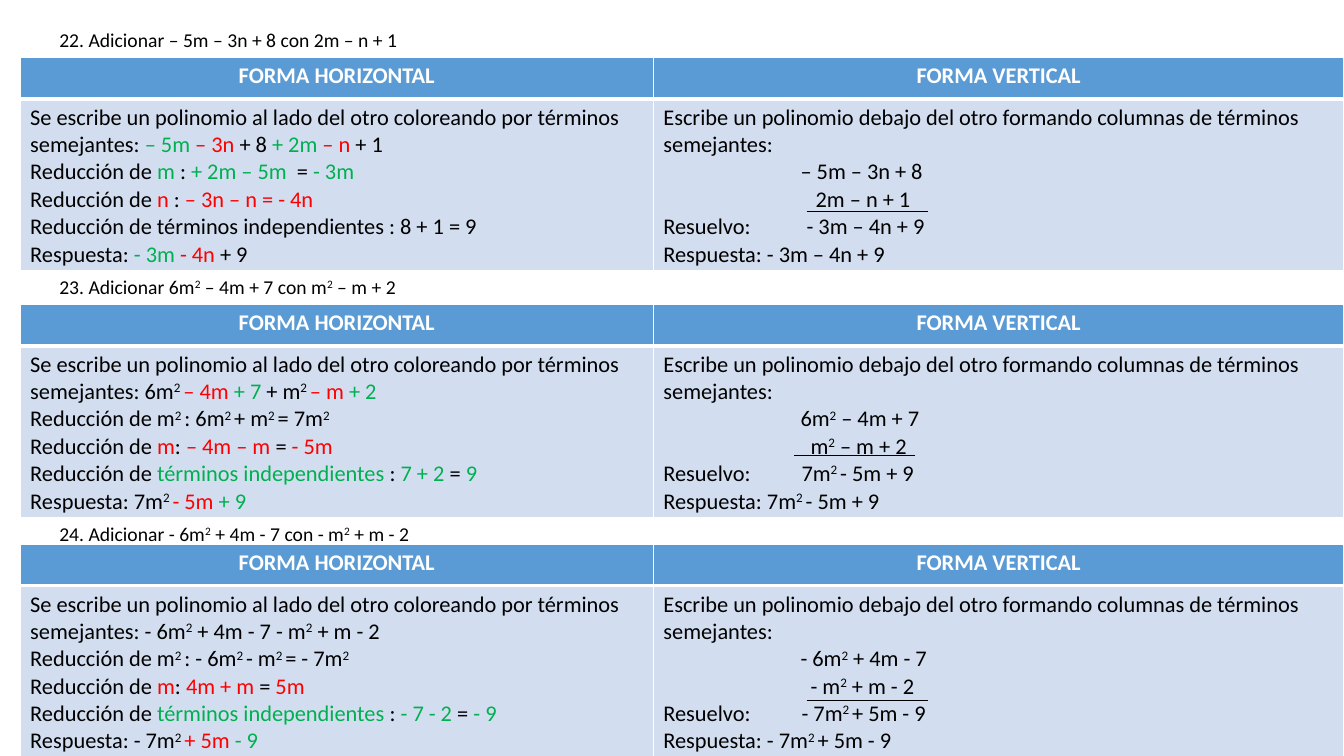
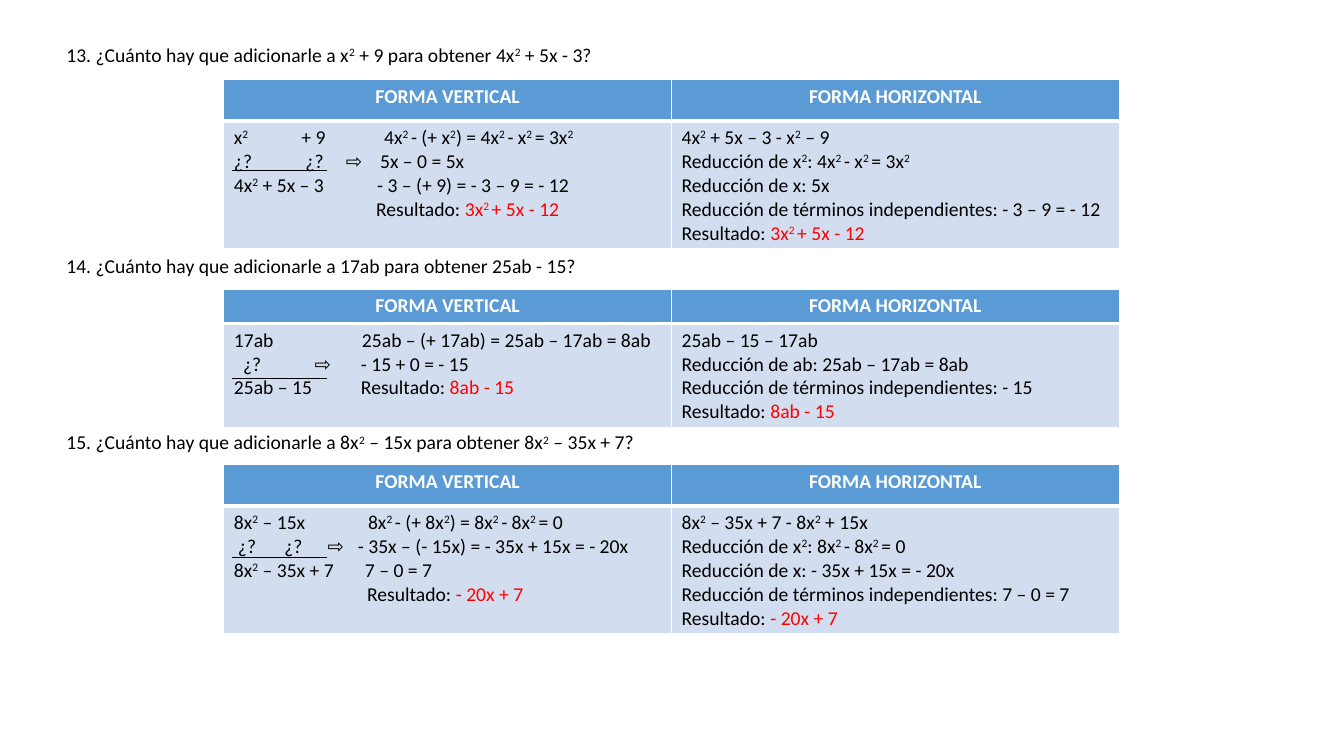
from typing import NamedTuple

from lxml.etree import SubElement
from pptx import Presentation
from pptx.dml.color import RGBColor
from pptx.enum.shapes import MSO_CONNECTOR
from pptx.enum.text import PP_ALIGN
from pptx.oxml.ns import qn
from pptx.util import Inches, Pt

FONT = "Calibri"
COLORS = {
    "black": "000000",
    "green": "00B050",
    "red": "FF0000",
    "white": "FFFFFF",
    "header": "5B9BD5",
    "body": "D2DEEF",
}
MARKS = {"k": "black", "g": "green", "r": "red"}
QUESTION_SIZE = 14
HORIZONTAL, VERTICAL = "FORMA HORIZONTAL", "FORMA VERTICAL"
SIDE_BY_SIDE = ("Se escribe un polinomio al lado del otro coloreando "
                "por términos semejantes: ")
STACKED = ("Escribe un polinomio debajo del otro formando columnas "
           "de términos semejantes:")


class Style(NamedTuple):
    question_left: float
    table_left: float
    column_widths: tuple
    titles: tuple
    size: int
    rule_offset: float
    rule_length: float


class Exercise(NamedTuple):
    question: str
    question_top: float
    table_top: float
    row_heights: tuple
    columns: tuple
    rule_drop: float
    rule_shift: float = 0


ADDITION_STYLE = Style(0.49, 0.2, (6.28, 6.85), (HORIZONTAL, VERTICAL),
                       16, 7.8, 1.2)
MISSING_STYLE = Style(0.56, 2.22, (4.44, 4.44), (VERTICAL, HORIZONTAL),
                      14, 0.08, 0.94)
ADDITION_ROWS = (0.41, 1.7)
MISSING_ROWS = (0.41, 1.26)


# A line is a string, or a tuple of a string and its tab stops in inches.
ADDITIONS = [
    Exercise(
        "22. Adicionar – 5m – 3n + 8 con 2m – n + 1", 0.23, 0.57, ADDITION_ROWS,
        ([SIDE_BY_SIDE + "|g– 5m |r– 3n |k+ 8 |g+ 2m |r– n |k+ 1",
          "Reducción de |gm |k: |g+ 2m – 5m |k = |g- 3m",
          "Reducción de |rn |k: |r– 3n – n = - 4n",
          "Reducción de términos independientes : 8 + 1 = 9",
          "Respuesta: |g- 3m |r- 4n |k+ 9"],
         [STACKED,
          ("\t– 5m – 3n + 8", 1.36),
          ("\t2m – n + 1", 1.51),
          ("Resuelvo:\t- 3m – 4n + 9", 1.42),
          "Respuesta: - 3m – 4n + 9"]),
        1.53),
    Exercise(
        "23. Adicionar 6m² – 4m + 7 con m² – m + 2", 2.68, 3.02, ADDITION_ROWS,
        ([SIDE_BY_SIDE + "6m²_|r– 4m |g+ 7|k + m²_|r– m |g+ 2",
          "Reducción de m²_: 6m²_+ m²_= 7m²",
          "Reducción de |rm|k: |r– 4m – m |k=|r - 5m",
          "Reducción de |gtérminos independientes |k: |g7 + 2 |k= |g9",
          "Respuesta: 7m²_|r- 5m |g+ 9"],
         [STACKED,
          ("\t6m² – 4m + 7", 1.36),
          ("\tm² – m + 2", 1.46),
          ("Resuelvo:\t7m²_- 5m + 9", 1.37),
          "Respuesta: 7m²_- 5m + 9"]),
        1.5, -0.12),
    Exercise(
        "24. Adicionar - 6m² + 4m - 7 con - m² + m - 2", 5.13, 5.4, ADDITION_ROWS,
        ([SIDE_BY_SIDE + "- 6m² + 4m - 7 - m² + m - 2",
          "Reducción de m²_: - 6m²_- m²_= - 7m²",
          "Reducción de |rm|k: |r4m + m |k=|r 5m",
          "Reducción de |gtérminos independientes |k: |g- 7 - 2 |k= |g- 9",
          "Respuesta: - 7m²_|r+ 5m |g- 9"],
         [STACKED,
          ("\t- 6m² + 4m - 7", 1.36),
          ("\t- m² + m - 2", 1.46),
          ("Resuelvo:\t- 7m²_+ 5m - 9", 1.37),
          "Respuesta: - 7m²_+ 5m - 9"]),
        1.55),
]

MISSING_ADDENDS = [
    Exercise(
        "13. ¿Cuánto hay que adicionarle a x² + 9 para obtener 4x² + 5x - 3?",
        0.38, 0.79, MISSING_ROWS,
        ([("x²\t+ 9\t4x²_- (+ x²) = 4x²_- x²_= 3x²", 0.67, 1.49),
          ("¿?\t¿?\t⇨\t5x – 0 = 5x", 0.71, 1.11, 1.45),
          ("4x² + 5x – 3\t- 3 – (+ 9) = - 3 – 9 = - 12", 1.42),
          ("\tResultado: |r3x²_+ 5x - 12", 1.41)],
         ["4x² + 5x – 3 - x² – 9",
          "Reducción de x²: 4x²_- x²_= 3x²",
          "Reducción de x: 5x",
          "Reducción de términos independientes: - 3 – 9 = - 12",
          "Resultado: |r3x²_+ 5x - 12"]),
        0.9),
    Exercise(
        "14. ¿Cuánto hay que adicionarle a 17ab para obtener 25ab - 15?",
        2.47, 2.87, (0.34, 1.03),
        ([("17ab\t25ab – (+ 17ab) = 25ab – 17ab = 8ab", 1.27),
          ("\t¿?\t⇨\t- 15 + 0 = - 15", 0.09, 0.8, 1.26),
          ("25ab – 15\tResultado: |r8ab - 15", 1.26)],
         ["25ab – 15 – 17ab",
          "Reducción de ab: 25ab – 17ab = 8ab",
          "Reducción de términos independientes: - 15",
          "Resultado: |r8ab - 15"]),
        0.88),
    Exercise(
        "15. ¿Cuánto hay que adicionarle a 8x² – 15x para obtener 8x² – 35x + 7?",
        4.22, 4.61, MISSING_ROWS,
        ([("8x² – 15x\t8x²_- (+ 8x²) = 8x²_- 8x²_= 0", 1.33),
          ("\t¿?\t¿?\t⇨\t- 35x – (- 15x) = - 35x + 15x = - 20x",
           0.04, 0.5, 0.93, 1.23),
          ("8x² – 35x + 7\t7 – 0 = 7", 1.3),
          ("\tResultado: |r- 20x + 7", 1.32)],
         ["8x² – 35x + 7 - 8x² + 15x",
          "Reducción de x²: 8x²_- 8x²_= 0",
          "Reducción de x: - 35x + 15x = - 20x",
          "Reducción de términos independientes: 7 – 0 = 7",
          "Resultado: |r- 20x + 7"]),
        0.92),
]


def rgb(name):
    return RGBColor.from_string(COLORS[name])


def add_run(paragraph, text, size, color, bold=False, raised=False):
    if not text:
        return
    run = paragraph.add_run()
    run.text = text
    font = run.font
    font.name, font.size, font.bold = FONT, Pt(size), bold
    font.color.rgb = rgb(color)
    if raised:
        font._element.set("baseline", "30000")


def write_formula(paragraph, markup, size):
    """Write text where |g, |r and |k switch colour, ² is a raised 2
    and ²_ is a raised 2 followed by a raised space."""
    for part in ("k" + markup).split("|"):
        color = MARKS[part[0]]
        first, *others = part[1:].split("²")
        add_run(paragraph, first, size, color)
        for piece in others:
            spaced = piece.startswith("_")
            add_run(paragraph, "2 " if spaced else "2", size, color, raised=True)
            add_run(paragraph, piece[1:] if spaced else piece, size, color)


def set_tab_stops(paragraph, stops):
    tabs = SubElement(paragraph._p.get_or_add_pPr(), qn("a:tabLst"))
    for stop in stops:
        SubElement(tabs, qn("a:tab"), pos=str(Inches(stop)), algn="l")


def write_lines(text_frame, lines, size):
    for index, line in enumerate(lines):
        paragraph = text_frame.add_paragraph() if index else text_frame.paragraphs[0]
        markup, *stops = (line,) if isinstance(line, str) else line
        if stops:
            set_tab_stops(paragraph, stops)
        write_formula(paragraph, markup, size)


def format_cell(cell, fill, top, bottom):
    """Set white borders, with the given top and bottom widths, and the fill."""
    properties = cell._tc.get_or_add_tcPr()
    for side, width in (("L", 1), ("R", 1), ("T", top), ("B", bottom)):
        border = SubElement(properties, qn("a:ln" + side), w=str(Pt(width)))
        solid = SubElement(border, qn("a:solidFill"))
        SubElement(solid, qn("a:srgbClr"), val=COLORS["white"])
    cell.fill.solid()
    cell.fill.fore_color.rgb = rgb(fill)


def add_question(slide, left, top, markup):
    box = slide.shapes.add_textbox(Inches(left), Inches(top), Inches(7), Inches(0.34))
    box.text_frame.word_wrap = True
    write_formula(box.text_frame.paragraphs[0], markup, QUESTION_SIZE)


def add_solution_table(slide, style, exercise):
    frame = slide.shapes.add_table(
        2, 2, Inches(style.table_left), Inches(exercise.table_top),
        Inches(sum(style.column_widths)), Inches(sum(exercise.row_heights)))
    table = frame.table
    table.horz_banding = False
    for row, height in zip(table.rows, exercise.row_heights):
        row.height = Inches(height)
    for index, width in enumerate(style.column_widths):
        table.columns[index].width = Inches(width)
        header, body = table.cell(0, index), table.cell(1, index)
        format_cell(header, "header", 1, 3)
        format_cell(body, "body", 3, 1)
        title = header.text_frame.paragraphs[0]
        title.alignment = PP_ALIGN.CENTER
        add_run(title, style.titles[index], style.size, "white", bold=True)
        write_lines(body.text_frame, exercise.columns[index], style.size)


def add_sum_rule(slide, left, top, length):
    rule = slide.shapes.add_connector(
        MSO_CONNECTOR.STRAIGHT, Inches(left), Inches(top),
        Inches(left + length), Inches(top))
    rule.line.color.rgb = rgb("black")
    rule.line.width = Pt(0.5)
    SubElement(rule._element.spPr, qn("a:effectLst"))


def add_exercise_slide(presentation, style, exercises):
    slide = presentation.slides.add_slide(presentation.slide_layouts[6])
    for exercise in exercises:
        add_question(slide, style.question_left, exercise.question_top,
                     exercise.question)
        add_solution_table(slide, style, exercise)
        add_sum_rule(slide,
                     style.table_left + style.rule_offset + exercise.rule_shift,
                     exercise.table_top + exercise.rule_drop, style.rule_length)


def main():
    presentation = Presentation()
    presentation.slide_width = Inches(13.33)
    presentation.slide_height = Inches(7.5)
    add_exercise_slide(presentation, ADDITION_STYLE, ADDITIONS)
    add_exercise_slide(presentation, MISSING_STYLE, MISSING_ADDENDS)
    presentation.save("out.pptx")


if __name__ == "__main__":
    main()
